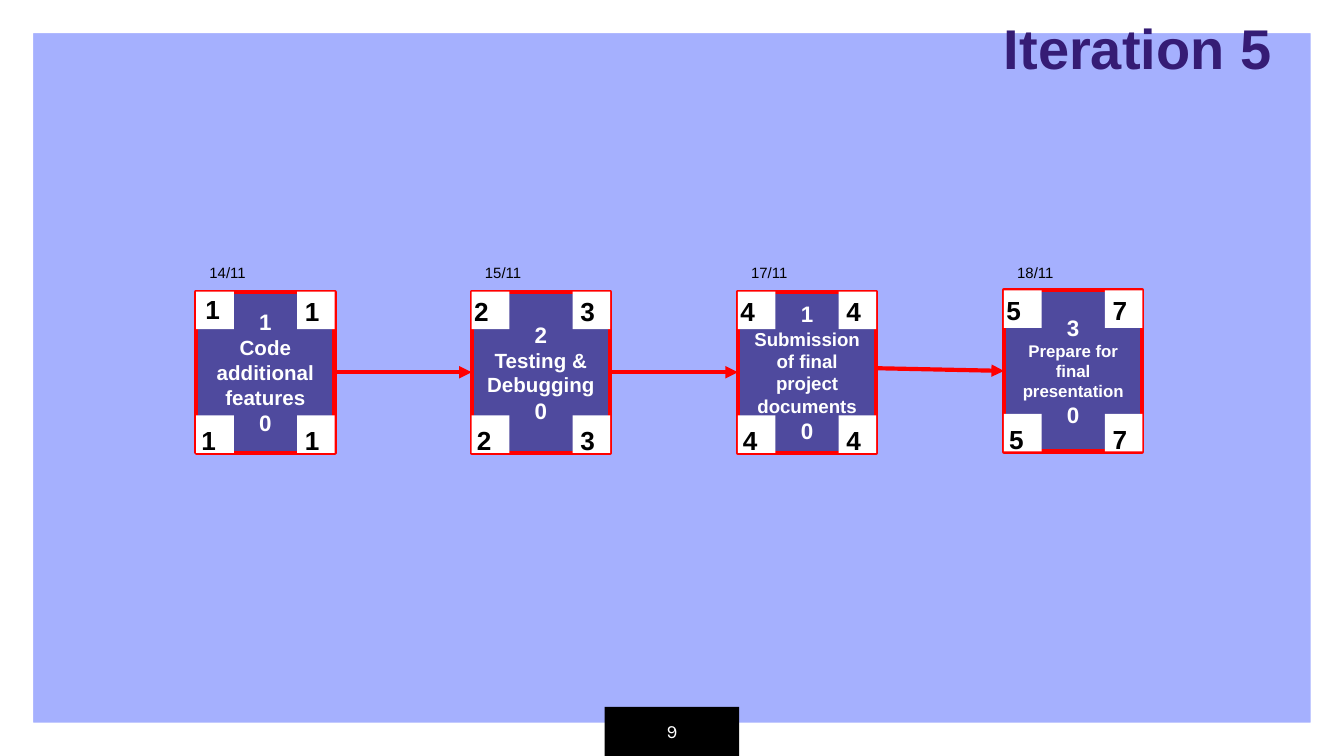
from itertools import product

from lxml import etree
from pptx import Presentation, util as u
from pptx.dml.color import RGBColor
from pptx.enum import shapes, text
from pptx.oxml.ns import qn

WHITE = RGBColor(0xFF, 0xFF, 0xFF)
BLACK = RGBColor(0, 0, 0)
LAVENDER = RGBColor(0xA5, 0xB0, 0xFE)
INDIGO = RGBColor(0x4F, 0x4A, 0x9E)
PURPLE = RGBColor(0x35, 0x1C, 0x75)
RED = RGBColor(0xFF, 0, 0)

# The page is a grid of 100 columns by 56.25 rows.
UNIT = u.Inches(0.1)
COLUMNS, ROWS = 100, 56.25
CARD_WIDTH, CARD_HEIGHT = 10.3, 12
CORNER = 2.8
DATE_TOP = 18.6

# left, top, date, duration, task, task size, start day, end day, start label shift
TASKS = [
    (14.6, 21.7, "14/11", "1", "Code additional features", 11, "1", "1", (0.5, -0.2)),
    (35.1, 21.7, "15/11", "2", "Testing & Debugging", 11, "2", "3", (0, 0)),
    (54.9, 21.7, "17/11", "1", "Submission of final project documents", 10, "4", "4", (0, 0)),
    (74.7, 21.6, "18/11", "3", "Prepare for final presentation", 9, "5", "7", (0, 0)),
]


class Board:
    """Holds the style and the current page; lengths are grid units."""

    font = "Arial"
    inset = u.Inches(0.1)
    line_width = u.Pt(2.25)

    def __init__(self, deck):
        self.page = deck.slides.add_slide(deck.slide_layouts[5])
        fill = self.page.background.fill
        fill.solid()
        fill.fore_color.rgb = LAVENDER

    def scale(self, *lengths):
        return [round(length * UNIT) for length in lengths]

    def set_text(self, box, lines, color, bold=False, font=None,
                 align=text.PP_ALIGN.LEFT, anchor=text.MSO_ANCHOR.TOP):
        """Fill a box with (wording, size) lines."""
        frame = box.text_frame
        frame.word_wrap = True
        frame.auto_size = text.MSO_AUTO_SIZE.NONE
        frame.vertical_anchor = anchor
        frame.margin_left = frame.margin_right = self.inset
        frame.margin_top = frame.margin_bottom = self.inset
        frame.text = "\n".join(wording for wording, size in lines)
        for para, (wording, size) in zip(frame.paragraphs, lines):
            para.alignment = align
            para.font.name = font or self.font
            para.font.size = u.Pt(size)
            para.font.bold = bold
            para.font.color.rgb = color

    def title(self, wording, left, top, width, height):
        box = self.page.shapes.title
        box.left, box.top, box.width, box.height = self.scale(left, top, width, height)
        self.set_text(box, [(wording, 30)], PURPLE, True, anchor=text.MSO_ANCHOR.BOTTOM)
        # Bring the title in front of the frame.
        box.element.getparent().append(box.element)

    def shape(self, left, top, width, height, color, line=None,
              kind=shapes.MSO_SHAPE.RECTANGLE):
        shape = self.page.shapes.add_shape(kind, *self.scale(left, top, width, height))
        shape.shadow.inherit = False
        shape.fill.solid()
        shape.fill.fore_color.rgb = color
        if line is None:
            shape.line.fill.background()
        else:
            shape.line.color.rgb = line
            shape.line.width = self.line_width
        return shape

    def label(self, wording, left, top, width, height, size, bold=False):
        box = self.page.shapes.add_textbox(*self.scale(left, top, width, height))
        self.set_text(box, [(wording, size)], BLACK, bold)

    def card(self, left, top, date, duration, task, size, start, end, shift):
        """Draw a task with its start and end days in the corners."""
        card = self.shape(left, top, CARD_WIDTH, CARD_HEIGHT, INDIGO, RED)
        self.set_text(card, [(duration, 12), (task, size), ("0", 12)], WHITE, True,
                      align=text.PP_ALIGN.CENTER, anchor=text.MSO_ANCHOR.MIDDLE)
        corners = product((0, CARD_HEIGHT - CORNER), (0, CARD_WIDTH - CORNER))
        for down, across in corners:
            self.shape(left + across, top + down, CORNER, CORNER, WHITE)
        right = CARD_WIDTH - 3.2
        labels = [(start, shift[0] - 0.8, shift[1] - 0.7), (end, right, -0.7),
                  (start, -0.6, 8.9), (end, right, 8.9)]
        for day, across, down in labels:
            self.label(day, left + across, top + down, 4.4, 3.6, 14, True)
        self.label(date, left, DATE_TOP, 9, 2.9, 8)
        return card

    def arrow(self, source, target, start=None):
        """Join two cards, leaving from a free start point if one is given."""
        ends = self.scale(*(start or (0, 0)), 0, 0)
        arrow = self.page.shapes.add_connector(shapes.MSO_CONNECTOR.STRAIGHT, *ends)
        if start is None:
            arrow.begin_connect(source, 3)
        arrow.end_connect(target, 1)
        arrow.line.color.rgb = RED
        arrow.line.width = self.line_width
        properties = arrow.element.spPr
        etree.SubElement(properties.find(qn("a:ln")), qn("a:tailEnd"), type="triangle")
        etree.SubElement(properties, qn("a:effectLst"))


def main():
    deck = Presentation()
    deck.slide_width = round(COLUMNS * UNIT)
    deck.slide_height = round(ROWS * UNIT)
    board = Board(deck)

    frame = board.shape(0, 0, COLUMNS, ROWS, WHITE, kind=shapes.MSO_SHAPE.FRAME)
    frame.adjustments[0] = 0.044
    number = board.shape(45, 52.6, 10, 3.65, BLACK)
    board.set_text(number, [("9", 10)], WHITE, font="Karla",
                   align=text.PP_ALIGN.CENTER, anchor=text.MSO_ANCHOR.MIDDLE)

    first, second, third, fourth = [board.card(*task) for task in TASKS]
    board.arrow(first, second)
    board.arrow(second, third)
    board.arrow(third, fourth, start=(65.2, 27.4))
    board.title("Iteration 5", 73.7, -0.7, 56.2, 7.7)

    deck.save("out.pptx")


if __name__ == "__main__":
    main()
